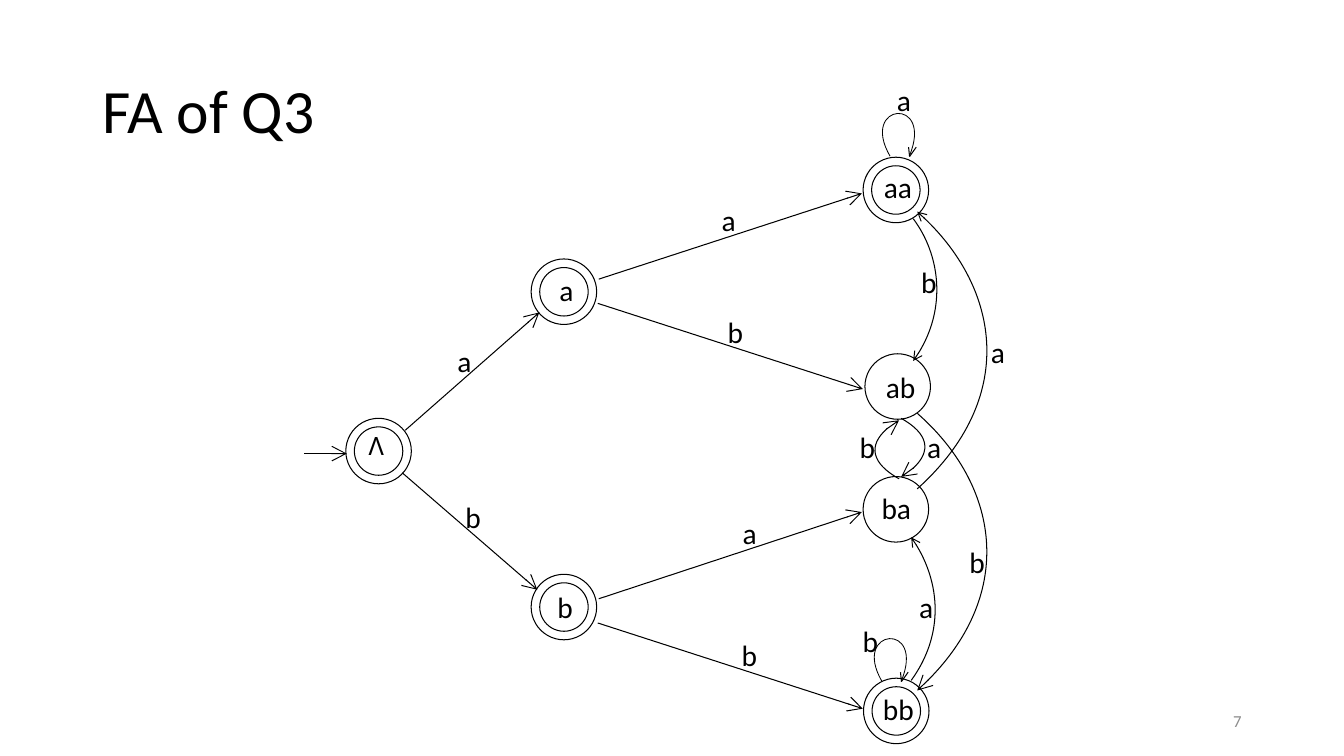
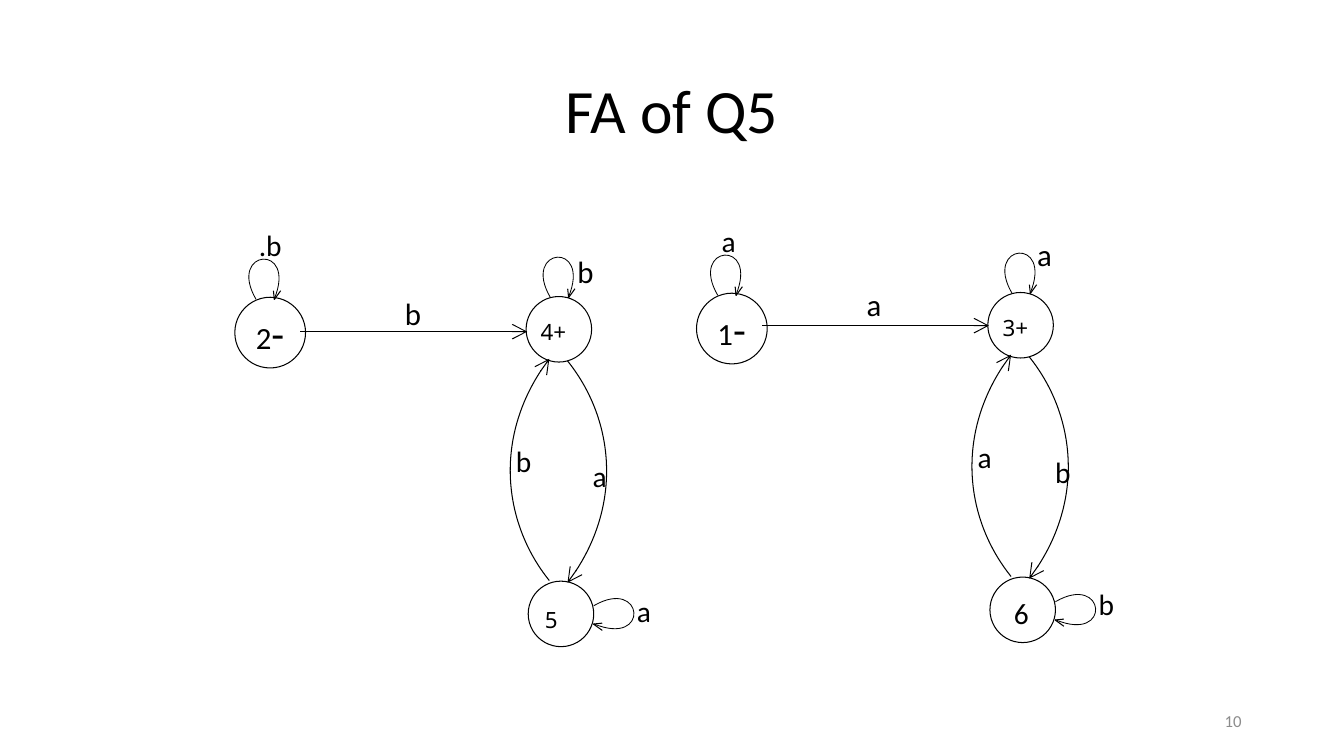
from lxml import etree
from pptx import Presentation
from pptx.dml.color import RGBColor
from pptx.enum import shapes, text
from pptx.oxml import ns
from pptx.util import Pt

# Shared style
BLACK, WHITE, GRAY = "000000", "FFFFFF", "8C8C8C"
FONT, SYMBOL_FONT = "Calibri", "Noto Sans"
THIN, LOOP_LINE = 0.75, 0.6
STATE, INNER, START = 46.8, 34.6, 50.5    # circle diameters
TITLE_BOX = (66, 28.8, 828, 104.4)
NUMBER_BOX = (678, 500.4, 216, 28.8)
LOOP = [(0, 0), (-22.3, -38.2), (31.7, -43.2), (13.7, 0)]
LOOP_HEAD = [(18.7, -6.5), (13.9, 0.2), (13.2, -6.5)]

# Label styles: size, font, box, left and top inset
Q3_LETTER = (21, FONT, (70.5, 49), (7.2, 3.6))
Q3_START = (18, SYMBOL_FONT, (25.4, 28.8), (7.2, 3.6))
Q5_LETTER = (21, FONT, (50.4, 51), (7.2, 3.6))
Q5_EDGE = (22, FONT, (29.5, 28.8), (7.2, 3.6))
Q5_START = (22, FONT, (70.5, 48.2), (7.2, 3.6))
Q5_STATE = (16, SYMBOL_FONT, (66.2, 46), (19.7, 17))
MINUS_SIZE = 30

# FA of Q3: states as centre x, centre y, accepting
Q3_STATES = [
    (270.4, 322.2, True), (402.8, 433.6, True), (402.8, 208.4, True),
    (639.9, 135.7, True), (641.2, 276.1, False), (639.9, 363.8, False),
    (640.2, 507.8, True),
]
Q3_EDGES = [
    (217.4, 324, 247.7, 324),
    (289.4, 307.4, 385.2, 223.2), (287.3, 337.7, 383.8, 421.2),
    (427.7, 199.4, 615.6, 138.2), (427, 216.7, 616.3, 277.9),
    (427.7, 427.7, 615.6, 365.8), (427, 445, 616.3, 506.2),
]
Q3_ARCS = [    # arrow size; start, two control points, end
    ("med", [(652.3, 156.2), (671.8, 182.2), (676.8, 224.6), (652.3, 257.8)]),
    ("med", [(650.9, 486), (675.4, 452.2), (670.3, 410.4), (650.9, 383.8)]),
    ("lg", [(655.2, 295.2), (713.5, 346.3), (727.2, 428.4), (655.2, 493.2)]),
    ("med", [(655.2, 349.2), (727.2, 284.4), (713.5, 202.3), (655.2, 151.2)]),
    ("lg", [(643.7, 298.8), (663.1, 309.6), (667.4, 326.9), (643.7, 340.6)]),
    ("lg", [(642.2, 342), (622.8, 331.2), (617.8, 313.9), (642.2, 300.2)]),
]
Q3_LOOPS = [(635.8, 111.6), (630, 486.7)]
Q3_LABELS = [
    ("a", 633.6, 55.4), ("a", 700.6, 235.4), ("b", 522.7, 451.4),
    ("a", 523.4, 364.3), ("a", 649.4, 416.9), ("b", 650.9, 185),
    ("a", 319.7, 241.7), ("a", 508.3, 141.1), ("b", 512.6, 221),
    ("b", 325.4, 352.8), ("b", 609.1, 441.4), ("b", 685.4, 385.2),
    ("a", 655.2, 303.1), ("b", 607, 303.1),
    ("b", 391, 417.3), ("a", 392.4, 190.8), ("aa", 624.2, 117.4),
    ("ab", 625.7, 259.9), ("ba", 622.6, 346.7), ("bb", 623.5, 490.3),
    ("Λ", 256.3, 303.8, Q3_START),
]

# FA of Q5: one machine, drawn twice with a shift
Q5_STATES = [(193, 237.6, START), (399.2, 235.2, STATE), (400.7, 438.5, STATE)]
Q5_EDGE_X = (214.6, 376.6)
Q5_ARCS = [
    [(392.4, 414.7), (360, 374.4), (352.1, 308.9), (392.4, 256.3)],
    [(405.4, 257.8), (437.8, 298.1), (445.7, 363.6), (405.4, 416.2)],
]
Q5_LOOPS = [(182.9, 213.8, False), (393.1, 212.4, False), (424.1, 432.7, True)]
Q5_MACHINES = [    # shift x, shift y, edge y, labels
    (0, 0, 236.9, [
        (".b", 177.8, 158.8), ("b", 282.2, 207.1, Q5_EDGE),
        ("b", 405.4, 177.1, Q5_EDGE), ("b", 361.4, 313.2), ("a", 416.2, 324),
        ("a", 447.8, 419.8), ("2-", 175.7, 216, Q5_START),
        ("4+", 366.5, 210.4, Q5_STATE), ("5", 369.4, 416, Q5_STATE)]),
    (329.8, -2.9, 232.6, [
        ("a", 508.3, 156), ("a", 612, 200.9, Q5_EDGE),
        ("a", 733.7, 164.9, Q5_EDGE), ("a", 691.2, 310.3), ("b", 746.6, 321.1),
        ("b", 777.6, 415.4), ("1-", 505.4, 213.1, Q5_START),
        ("3+", 696.4, 207.3, Q5_STATE), ("6", 717.1, 421.2)]),
]


def rgb(color):
    return RGBColor.from_string(color)


def style_run(r, size, font=FONT, color=BLACK):
    r.font.size, r.font.name = Pt(size), font
    r.font.color.rgb = rgb(color)


def style_line(sp, width=THIN, arrow=None):
    sp.line.color.rgb, sp.line.width = rgb(BLACK), Pt(width)
    if arrow:
        etree.SubElement(sp.line._get_or_add_ln(), ns.qn("a:tailEnd"),
                         type="arrow", w=arrow, len=arrow)


def new_slide(title, number, align):
    s = prs.slides.add_slide(prs.slide_layouts[5])
    sp = s.shapes.title
    sp.left, sp.top, sp.width, sp.height = map(Pt, TITLE_BOX)
    sp.text_frame.text = title
    sp.text_frame.vertical_anchor = text.MSO_ANCHOR.MIDDLE
    p = sp.text_frame.paragraphs[0]
    p.alignment, p.line_spacing = align, 0.9
    style_run(p.runs[0], 44)
    tf = s.shapes.add_textbox(*map(Pt, NUMBER_BOX)).text_frame
    tf.word_wrap, tf.vertical_anchor = True, text.MSO_ANCHOR.MIDDLE
    tf.text = number
    p = tf.paragraphs[0]
    p.alignment = text.PP_ALIGN.RIGHT
    style_run(p.runs[0], 12, color=GRAY)
    return s


def circle(s, cx, cy, d):
    box = (cx - d / 2, cy - d / 2, d, d)
    sp = s.shapes.add_shape(shapes.MSO_SHAPE.OVAL, *map(Pt, box))
    sp.shadow.inherit = False
    sp.fill.solid()
    sp.fill.fore_color.rgb = rgb(WHITE)
    style_line(sp)


def edge(s, *ends):
    sp = s.shapes.add_connector(shapes.MSO_CONNECTOR.STRAIGHT, *map(Pt, ends))
    style_line(sp, arrow="lg")
    etree.SubElement(sp._element.spPr, ns.qn("a:effectLst"))


def outline(s, points, width=THIN, arrow=None):
    pts = [(Pt(x), Pt(y)) for x, y in points]
    fb = s.shapes.build_freeform(*pts[0])
    fb.add_line_segments(pts[1:], close=False)
    sp = fb.convert_to_shape()
    sp.shadow.inherit = False
    sp.fill.background()
    style_line(sp, width, arrow)
    return sp


def curve(s, points, width=THIN, arrow=None):
    """Turn the three segments of an outline into one cubic curve."""
    sp = outline(s, points, width, arrow)
    segments = list(sp._element.iter(ns.qn("a:lnTo")))
    holder = segments[0].getparent()
    cubic = etree.SubElement(holder, ns.qn("a:cubicBezTo"))
    for segment in segments:
        cubic.append(segment[0])
        holder.remove(segment)


def shift(points, dx, dy):
    return [(x + dx, y + dy) for x, y in points]


def loop(s, x, y, scale=1, sideways=False):
    def place(points):
        turned = [(-py, px) if sideways else (px, py) for px, py in points]
        return shift([(px * scale, py * scale) for px, py in turned], x, y)
    curve(s, place(LOOP), LOOP_LINE)
    head = place(LOOP_HEAD)
    for stroke in (head[:2], head[1:]):
        outline(s, stroke)


def label(s, value, x, y, style):
    size, font, box, inset = style
    tf = s.shapes.add_textbox(*map(Pt, (x, y, *box))).text_frame
    tf.word_wrap = True
    tf.margin_left, tf.margin_top = map(Pt, inset)
    p = tf.paragraphs[0]
    for part in value.partition("-"):
        if part:
            r = p.add_run()
            r.text = part
            style_run(r, MINUS_SIZE if part == "-" else size, font)


def add_labels(s, labels, default):
    for value, x, y, *style in labels:
        label(s, value, x, y, *(style or [default]))


prs = Presentation()
prs.slide_width, prs.slide_height = Pt(960), Pt(540)

# FA of Q3
s = new_slide("FA of Q3", "7", text.PP_ALIGN.LEFT)
for cx, cy, accepting in Q3_STATES:
    circle(s, cx, cy, STATE)
    if accepting:
        circle(s, cx, cy, INNER)
for ends in Q3_EDGES:
    edge(s, *ends)
for arrow, arc in Q3_ARCS:
    curve(s, arc, arrow=arrow)
for x, y in Q3_LOOPS:
    loop(s, x, y)
add_labels(s, Q3_LABELS, Q3_LETTER)

# FA of Q5
s = new_slide("FA of Q5", "10", text.PP_ALIGN.CENTER)
for dx, dy, edge_y, labels in Q5_MACHINES:
    for cx, cy, d in Q5_STATES:
        circle(s, cx + dx, cy + dy, d)
    edge(s, Q5_EDGE_X[0] + dx, edge_y, Q5_EDGE_X[1] + dx, edge_y)
    for arc in Q5_ARCS:
        curve(s, shift(arc, dx, dy), arrow="lg")
    for x, y, sideways in Q5_LOOPS:
        loop(s, x + dx, y + dy, 0.94, sideways)
    add_labels(s, labels, Q5_LETTER)

prs.save("out.pptx")
